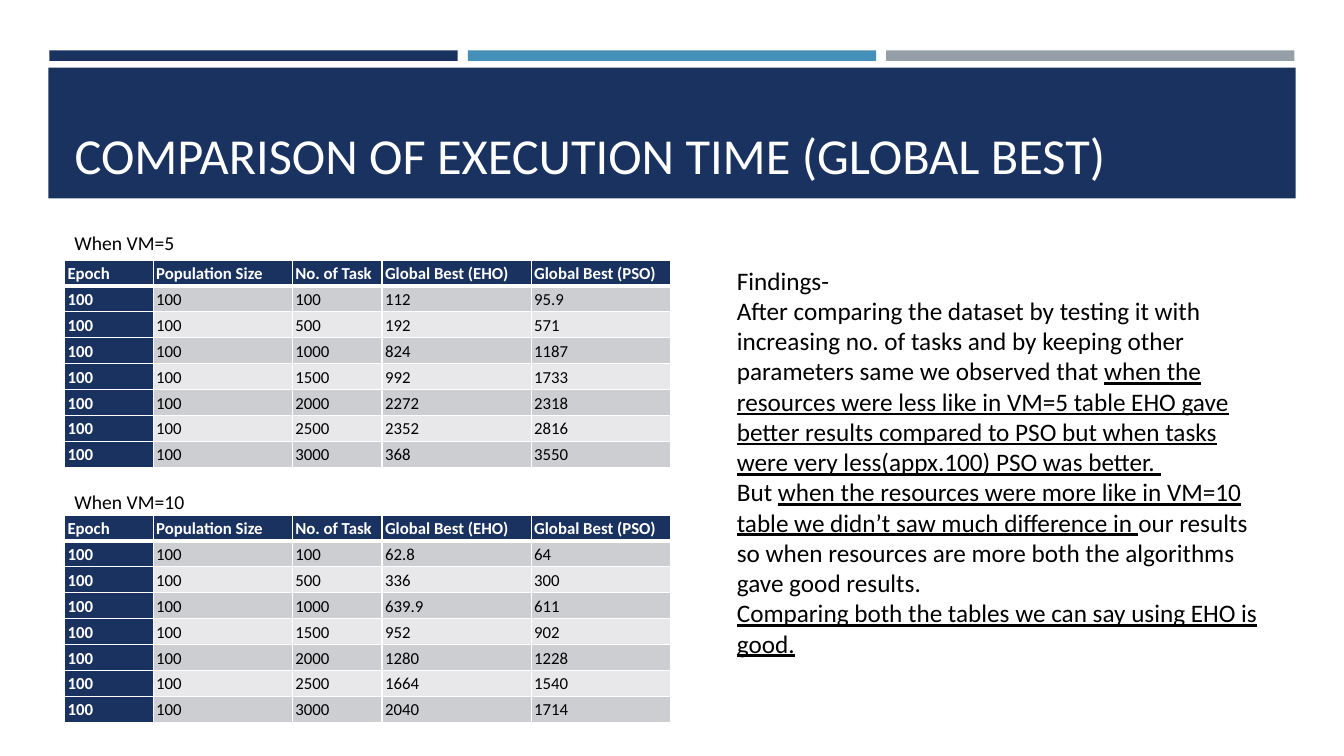
from lxml.etree import SubElement
from pptx import Presentation
from pptx.dml.color import RGBColor
from pptx.enum.shapes import MSO_SHAPE
from pptx.enum.text import MSO_ANCHOR, MSO_AUTO_SIZE, PP_ALIGN
from pptx.oxml import parse_xml
from pptx.oxml.ns import nsdecls, qn
from pptx.util import Inches, Pt

NAVY = RGBColor(0x1A, 0x32, 0x60)
BLUE = RGBColor(0x45, 0x90, 0xB8)
GREY = RGBColor(0x96, 0x9F, 0xA7)
ROW_DARK = RGBColor(0xCD, 0xCE, 0xD2)
ROW_LIGHT = RGBColor(0xE8, 0xE8, 0xEA)
WHITE = RGBColor(0xFF, 0xFF, 0xFF)
BLACK = RGBColor(0, 0, 0)
FONT = "Calibri"

SLIDE_W, SLIDE_H = Inches(13.33), Inches(7.5)
LEFT = 4.8
COLUMNS = [6.6, 10.35, 6.68, 11.1, 10.35]
ROW = 3.07

HEADER = ["Epoch", "Population Size", "No. of Task",
          "Global Best (EHO)", "Global Best (PSO)"]
TASKS = [100, 500, 1000, 1500, 2000, 2500, 3000]
EHO_VM5 = [112, 192, 824, 992, 2272, 2352, 368]
PSO_VM5 = [95.9, 571, 1187, 1733, 2318, 2816, 3550]
EHO_VM10 = [62.8, 336, 639.9, 952, 1280, 1664, 2040]
PSO_VM10 = [64, 300, 611, 902, 1228, 1540, 1714]

FINDINGS = [
    [("Findings-", False)],
    [("After comparing the dataset by testing it with increasing no. of tasks "
      "and by keeping other parameters same we observed that ", False),
     ("when the resources were less like in VM=5 table EHO gave better results "
      "compared to PSO but when tasks were very less(appx.100) PSO was better. ",
      True)],
    [("But ", False),
     ("when the resources were more like in VM=10 table we didn’t saw much "
      "difference in ", True),
     ("our results so when resources are more both the algorithms gave good "
      "results.", False)],
    [("Comparing both the tables we can say using EHO is good.", True)],
]


def across(percent):
    return int(SLIDE_W * percent / 100)


def down(percent):
    return int(SLIDE_H * percent / 100)


def box(x, y, w, h):
    return across(x), down(y), across(w), down(h)


def style(r, size, color, bold=False, underline=False):
    f = r.font
    f.name, f.size, f.bold, f.underline = FONT, Pt(size), bold, underline
    f.color.rgb = color


def add_bar(s, area, color):
    sp = s.shapes.add_shape(MSO_SHAPE.RECTANGLE, *box(*area))
    sp.shadow.inherit = False
    sp.fill.solid()
    sp.fill.fore_color.rgb = color
    sp.line.fill.background()


def set_title(s, text):
    sp = s.shapes.title
    s.shapes._spTree.append(sp._element)
    sp.left, sp.top, sp.width, sp.height = box(LEFT, 10.27, 90.47, 14.8)
    tf = sp.text_frame
    tf.text = text
    tf.vertical_anchor = MSO_ANCHOR.BOTTOM
    tf.auto_size = MSO_AUTO_SIZE.NONE
    p = tf.paragraphs[0]
    p.alignment = PP_ALIGN.LEFT
    style(p.runs[0], 36, WHITE)


def add_text(s, area, paragraphs, size):
    tf = s.shapes.add_textbox(*box(*area)).text_frame
    tf.word_wrap = True
    tf.auto_size = MSO_AUTO_SIZE.SHAPE_TO_FIT_TEXT
    for i, parts in enumerate(paragraphs):
        p = tf.add_paragraph() if i else tf.paragraphs[0]
        for text, underline in parts:
            r = p.add_run()
            r.text = text
            style(r, size, BLACK, underline=underline)


def set_borders(cell, bottom):
    tc_pr = cell._tc.get_or_add_tcPr()
    widths = {"lnL": 1, "lnR": 1, "lnT": 1, "lnB": bottom}
    for i, (side, width) in enumerate(widths.items()):
        ln = parse_xml(f'<a:{side} {nsdecls("a")} w="{Pt(width)}"/>')
        fill = SubElement(ln, qn("a:solidFill"))
        SubElement(fill, qn("a:srgbClr"), val=str(WHITE))
        tc_pr.insert(i, ln)


def fill_cell(cell, value, color, strong, bottom):
    cell.fill.solid()
    cell.fill.fore_color.rgb = color
    set_borders(cell, bottom)
    cell.margin_left = cell.margin_right = Inches(0.03)
    cell.margin_top = cell.margin_bottom = Inches(0.02)
    cell.vertical_anchor = MSO_ANCHOR.BOTTOM
    cell.text_frame.text = str(value)
    p = cell.text_frame.paragraphs[0]
    p.alignment = PP_ALIGN.JUSTIFY
    p.line_spacing = 1.07
    p.space_after = Pt(8)
    style(p.runs[0], 12, WHITE if strong else BLACK, bold=strong)


def add_results(s, top, eho, pso):
    rows = [HEADER] + [[100, 100, *values] for values in zip(TASKS, eho, pso)]
    area = box(LEFT, top, sum(COLUMNS), ROW * len(rows))
    table = s.shapes.add_table(len(rows), len(COLUMNS), *area).table
    for column, width in zip(table.columns, COLUMNS):
        column.width = across(width)
    for i, values in enumerate(rows):
        table.rows[i].height = down(ROW)
        band = ROW_DARK if i % 2 else ROW_LIGHT
        for j, value in enumerate(values):
            strong = i == 0 or j == 0
            fill_cell(table.cell(i, j), value, NAVY if strong else band,
                      strong, 1 if i else 3)


def main():
    prs = Presentation()
    prs.slide_width, prs.slide_height = SLIDE_W, SLIDE_H
    s = prs.slides.add_slide(prs.slide_layouts[5])
    for i, color in enumerate([NAVY, BLUE, GREY]):
        add_bar(s, (3.68 + 31.13 * i, 6.67, 30.38, 1.4), color)
    add_bar(s, (3.6, 8.93, 92.8, 17.33), NAVY)
    set_title(s, "COMPARISON OF EXECUTION TIME (GLOBAL BEST)")
    add_results(s, 34.4, EHO_VM5, PSO_VM5)
    add_results(s, 68.13, EHO_VM10, PSO_VM10)
    add_text(s, (LEFT, 29.87, 39.68, 4.53), [[("When VM=5", False)]], 14)
    add_text(s, (LEFT, 64.13, 14.48, 4.53), [[("When VM=10", False)]], 14)
    add_text(s, (54.09, 34.4, 41.19, 53.87), FINDINGS, 18)
    prs.save("out.pptx")


if __name__ == "__main__":
    main()
